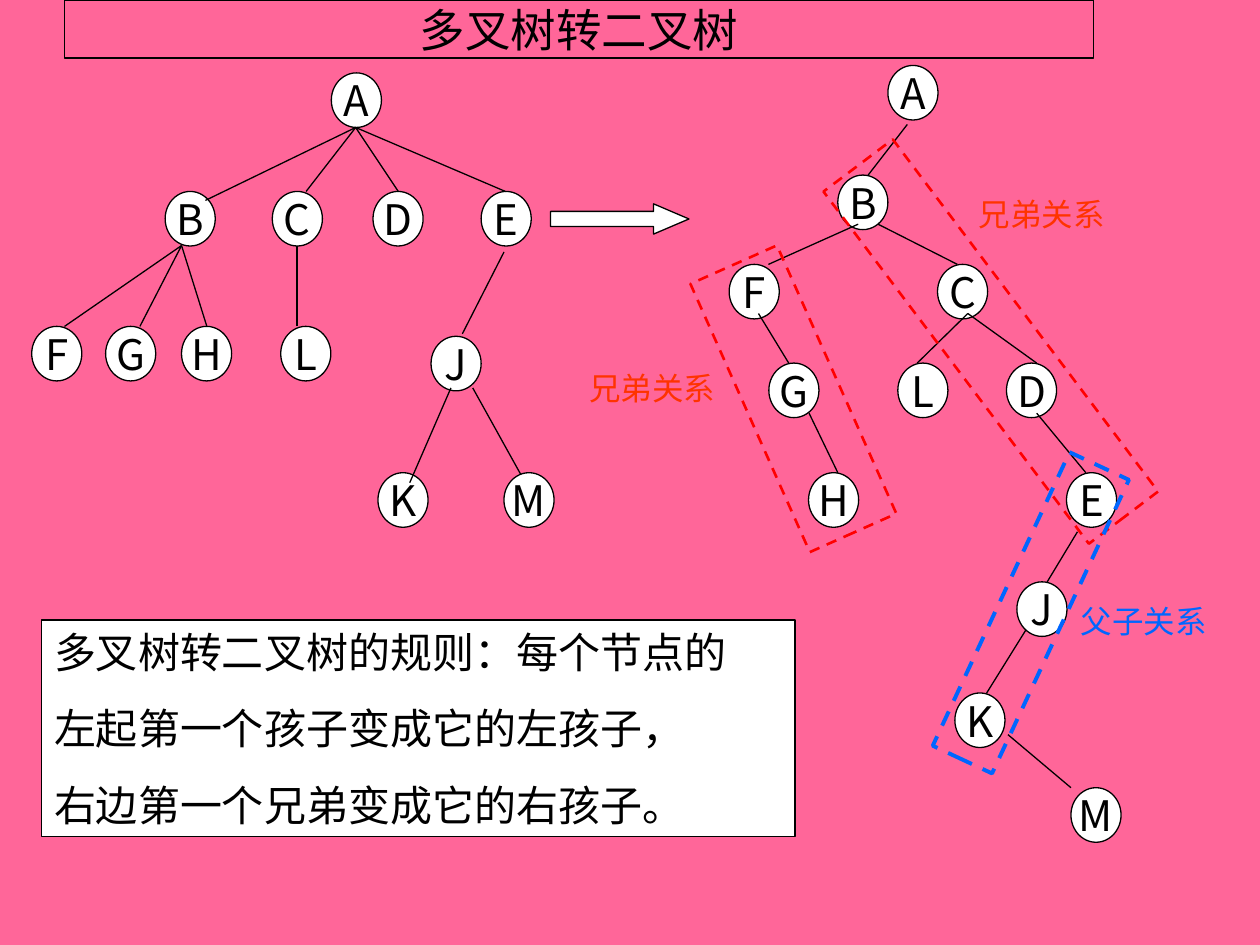
from dataclasses import dataclass

from lxml.etree import SubElement
from pptx import Presentation
from pptx.dml.color import RGBColor
from pptx.enum.dml import MSO_LINE_DASH_STYLE as Dash
from pptx.enum.shapes import MSO_CONNECTOR, MSO_SHAPE
from pptx.enum.text import MSO_ANCHOR as Anchor, PP_ALIGN as Align
from pptx.oxml.ns import qn
from pptx.util import Cm, Pt

COLORS = {
    "background": "FF6699", "ink": "000000", "paper": "FFFFFF",
    "sibling": "FF0000", "sibling_text": "FF3300", "child": "0066FF",
}
LATIN, HAN, NODE_FONT = "Arial", "Noto Sans CJK SC", "Noto Sans CJK JP"
NODE_WIDTH, NODE_HEIGHT = 1.01, 1.1

Point = tuple[float, float]
Box = tuple[float, float, float, float]


@dataclass
class Fan:
    """Edges that leave one point for several children."""
    start: Point
    ends: list[Point]


@dataclass
class Tree:
    nodes: dict[str, Point]  # top left corners in centimetres
    fans: list[Fan]
    top_node: str  # drawn over the edges


@dataclass
class Frame:
    box: Box
    rotation: float
    color: str
    width: float


@dataclass
class Label:
    text: str
    corner: Point
    color: str


MULTIWAY_TREE = Tree(
    {"A": (6.68, 1.47),
     "B": (3.33, 3.86), "C": (5.49, 3.86), "D": (7.52, 3.86), "E": (9.7, 3.86),
     "F": (0.64, 6.58), "G": (2.13, 6.58), "H": (3.66, 6.58), "L": (5.66, 6.58),
     "J": (8.69, 6.78), "K": (7.62, 9.53), "M": (10.16, 9.53)},
    [Fan((7.17, 2.57), [(4.14, 4.04), (6.17, 3.86), (8.03, 3.86), (10.19, 3.86)]),
     Fan((3.66, 4.95), [(1.3, 6.58), (2.82, 6.58), (4.17, 6.58)]),
     Fan((5.99, 4.95), [(5.99, 6.58)]),
     Fan((10.16, 5.08), [(9.32, 6.73)]),
     Fan((9.09, 7.82), [(8.26, 9.73)]),
     Fan((9.53, 7.82), [(10.59, 9.73)])],
    "M",
)
BINARY_TREE = Tree(
    {"A": (17.9, 1.32), "B": (16.89, 3.53),
     "F": (14.7, 5.33), "C": (18.9, 5.33),
     "G": (15.5, 7.32), "L": (18.1, 7.32), "D": (20.29, 7.32),
     "H": (16.3, 9.53), "E": (21.5, 9.53),
     "J": (20.5, 11.73), "K": (19.25, 13.97), "M": (21.59, 15.88)},
    [Fan((18.29, 2.51), [(17.5, 3.53)]),
     Fan((17.3, 4.52), [(15.49, 5.33)]),
     Fan((17.7, 4.52), [(19.3, 5.33)]),
     Fan((15.29, 6.32), [(15.9, 7.32)]),
     Fan((19.51, 6.32), [(18.49, 7.32), (20.9, 7.32)]),
     Fan((16.31, 8.33), [(16.89, 9.53)]),
     Fan((20.9, 8.33), [(21.89, 9.53)]),
     Fan((21.72, 10.72), [(21.11, 11.73)]),
     Fan((20.68, 12.7), [(19.89, 13.97)]),
     Fan((20.32, 14.81), [(21.59, 15.88)])],
    "M",
)
FRAMES = [
    Frame((15.04, 5.08, 1.91, 5.92), 336, "sibling", 1.5),
    Frame((19.1, 2.44, 1.75, 8.89), 323, "sibling", 1.5),
    Frame((20.12, 9.09, 1.32, 6.53), 25, "child", 2.25),
]
LABELS = [
    Label("兄弟关系", (19.48, 3.81), "sibling_text"),
    Label("兄弟关系", (11.63, 7.32), "sibling_text"),
    Label("父子关系", (21.54, 12.01), "child"),
]
RULES = [
    "多叉树转二叉树的规则：每个节点的",
    "左起第一个孩子变成它的左孩子，",
    "右边第一个兄弟变成它的右孩子。",
]


def rgb(name: str) -> RGBColor:
    return RGBColor.from_string(COLORS[name])


def apply(target, values: dict) -> None:
    for name, value in values.items():
        setattr(target, name, value)


def set_line(line, color: str = "ink", width: float = 0.75) -> None:
    line.color.rgb = rgb(color)
    line.width = Pt(width)


def write(paragraph, text: str, size: float, latin: str = LATIN,
          han: str = HAN, color: str = "ink") -> None:
    run = paragraph.add_run()
    run.text = text
    apply(run.font, {"size": Pt(size), "name": latin, "bold": False})
    run.font.color.rgb = rgb(color)
    SubElement(run.font._element, qn("a:ea")).set("typeface", han)


def add_block(shapes, kind: MSO_SHAPE, box: Box, fill: str | None = "paper"):
    shape = shapes.add_shape(kind, *map(Cm, box))
    shape.shadow.inherit = False
    if fill:
        shape.fill.solid()
        shape.fill.fore_color.rgb = rgb(fill)
    else:
        shape.fill.background()
    set_line(shape.line)
    return shape


def add_node(shapes, name: str, corner: Point) -> None:
    shape = add_block(shapes, MSO_SHAPE.OVAL, (*corner, NODE_WIDTH, NODE_HEIGHT))
    apply(shape.text_frame, {"word_wrap": False, "vertical_anchor": Anchor.MIDDLE})
    paragraph = shape.text_frame.paragraphs[0]
    paragraph.alignment = Align.CENTER
    write(paragraph, name, 24, NODE_FONT, NODE_FONT)


def add_edge(shapes, start: Point, end: Point) -> None:
    edge = shapes.add_connector(MSO_CONNECTOR.STRAIGHT, *map(Cm, start + end))
    set_line(edge.line)
    SubElement(edge._element.spPr, qn("a:effectLst"))


def draw_tree(shapes, tree: Tree) -> None:
    for name, corner in tree.nodes.items():
        if name != tree.top_node:
            add_node(shapes, name, corner)
    for fan in tree.fans:
        for end in fan.ends:
            add_edge(shapes, fan.start, end)
    add_node(shapes, tree.top_node, tree.nodes[tree.top_node])


def draw_title(title) -> None:
    apply(title, {"left": Cm(1.3), "top": Cm(0), "width": Cm(20.75), "height": Cm(1.17)})
    set_line(title.line)
    margins = {f"margin_{side}": Cm(0.13) for side in ("left", "right", "top", "bottom")}
    apply(title.text_frame, {"vertical_anchor": Anchor.MIDDLE, "word_wrap": True, **margins})
    paragraph = title.text_frame.paragraphs[0]
    paragraph.alignment = Align.CENTER
    write(paragraph, "多叉树转二叉树", 26)


def draw_rules(shapes) -> None:
    frame = add_block(shapes, MSO_SHAPE.RECTANGLE, (0.84, 12.5, 15.19, 4.37)).text_frame
    apply(frame, {"word_wrap": True, "vertical_anchor": Anchor.TOP})
    for index, text in enumerate(RULES):
        paragraph = frame.add_paragraph() if index else frame.paragraphs[0]
        apply(paragraph, {"alignment": Align.LEFT, "space_before": Pt(15 if index else 0)})
        write(paragraph, text, 24, HAN)


def draw_frame(shapes, frame: Frame) -> None:
    shape = add_block(shapes, MSO_SHAPE.RECTANGLE, frame.box, fill=None)
    shape.rotation = frame.rotation
    set_line(shape.line, frame.color, frame.width)
    shape.line.dash_style = Dash.DASH


def draw_label(shapes, label: Label) -> None:
    text_frame = shapes.add_textbox(*map(Cm, (*label.corner, 3.38, 1.02))).text_frame
    text_frame.word_wrap = True
    write(text_frame.paragraphs[0], label.text, 18, color=label.color)


def main() -> None:
    presentation = Presentation()
    apply(presentation, {"slide_width": Cm(25.4), "slide_height": Cm(19.05)})
    slide = presentation.slides.add_slide(presentation.slide_layouts[5])
    slide.background.fill.solid()
    slide.background.fill.fore_color.rgb = rgb("background")
    shapes = slide.shapes

    draw_title(shapes.title)

    # Binary tree, the arrow that leads to it, and the rule
    draw_tree(shapes, BINARY_TREE)
    arrow = add_block(shapes, MSO_SHAPE.RIGHT_ARROW, (11.1, 4.11, 2.79, 0.61))
    arrow.adjustments[1] = 1.17
    draw_rules(shapes)

    # Multiway tree, kept together as a group
    draw_tree(shapes.add_group_shape().shapes, MULTIWAY_TREE)

    # Dashed frames and their relation labels
    for frame in FRAMES:
        draw_frame(shapes, frame)
    for label in LABELS:
        draw_label(shapes, label)

    presentation.save("out.pptx")


if __name__ == "__main__":
    main()
